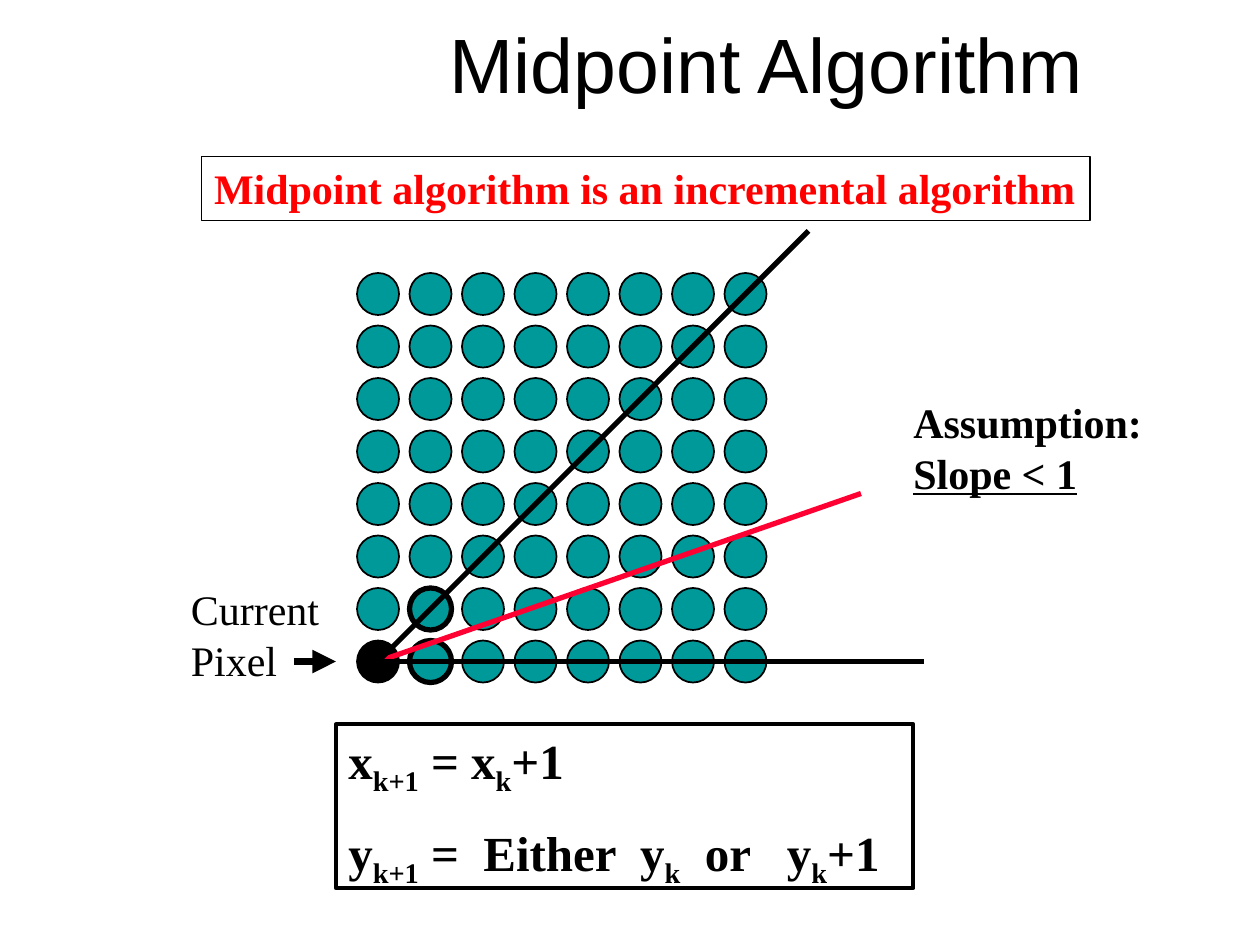
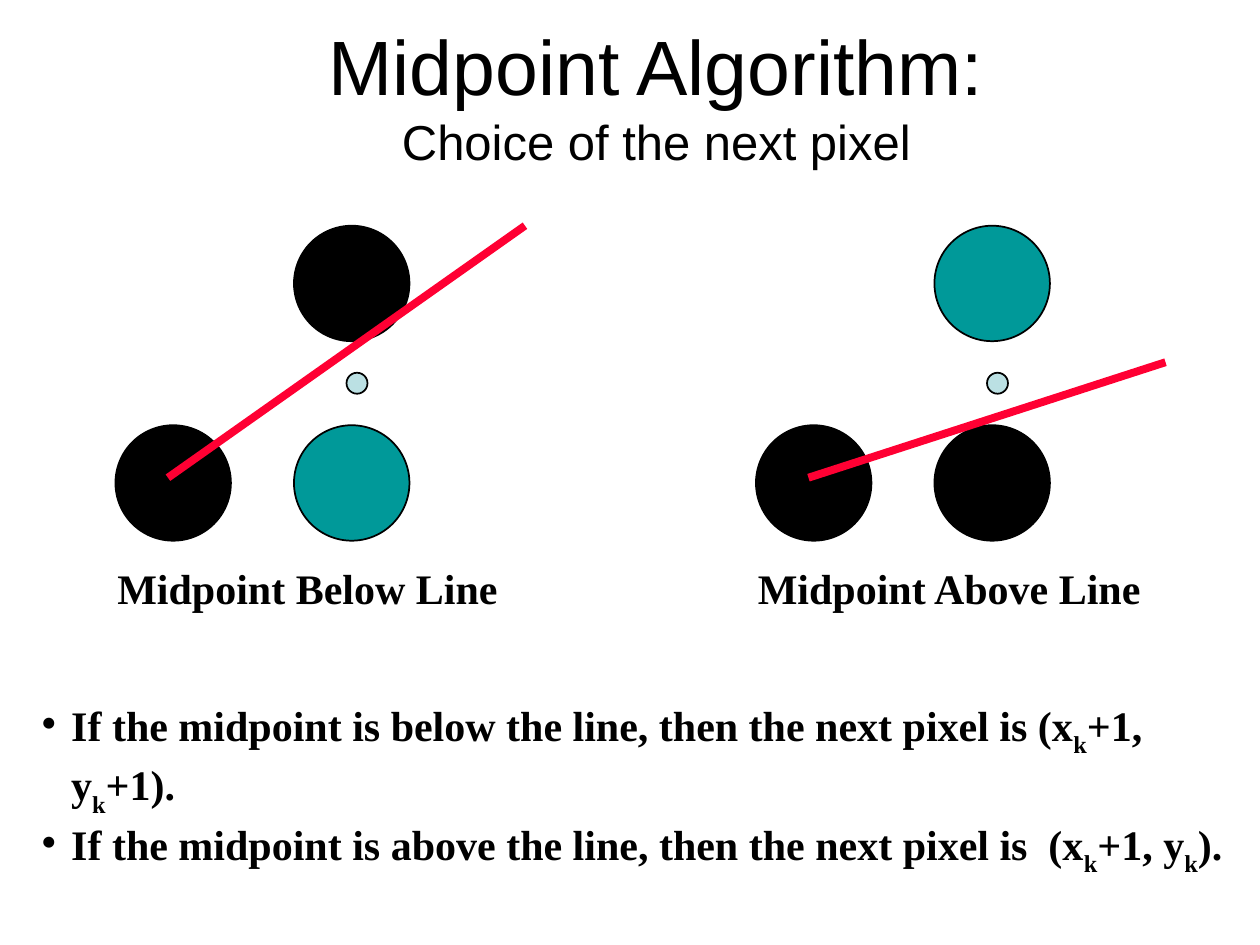
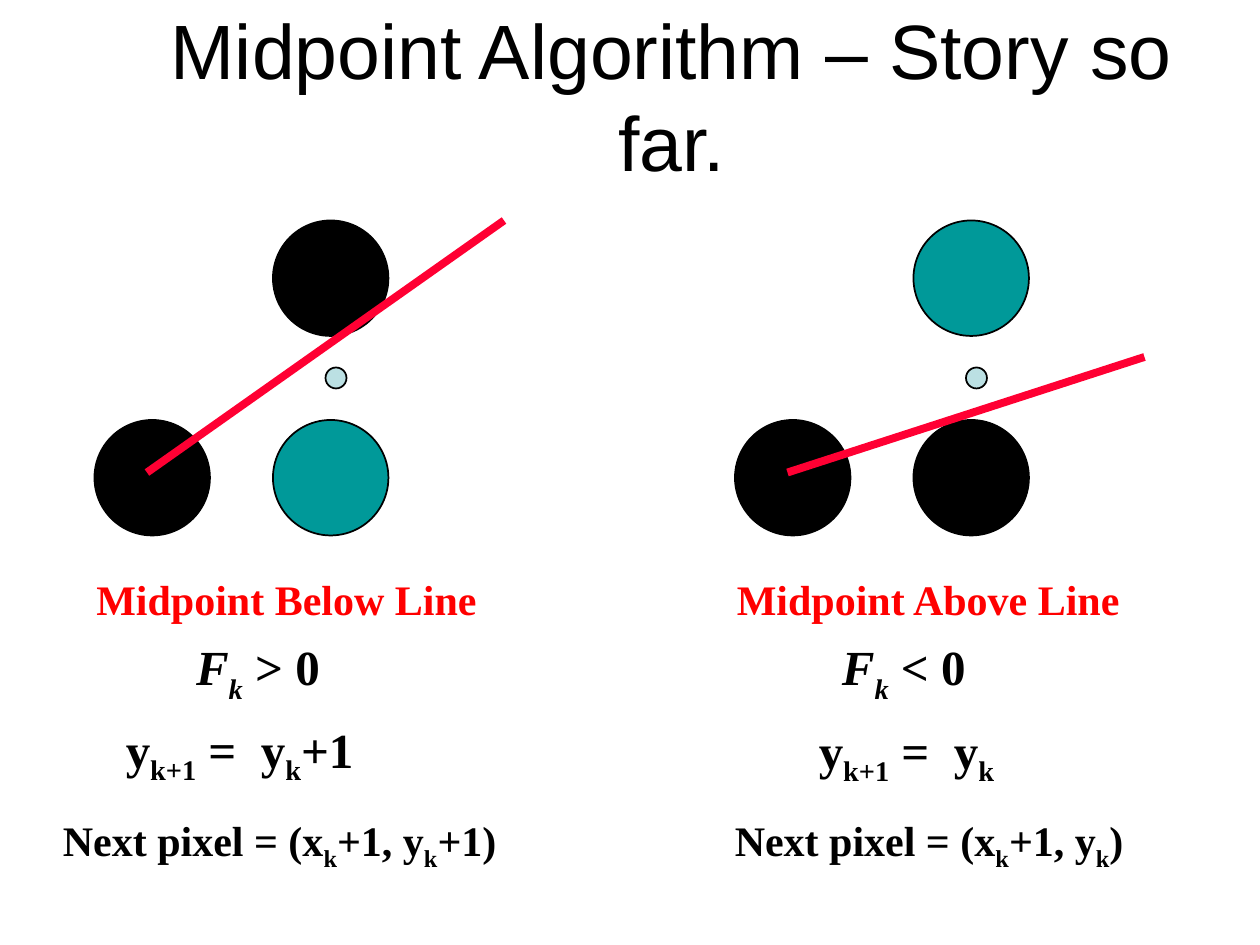
from dataclasses import dataclass

from lxml import etree
from pptx import Presentation
from pptx import util as u
from pptx.dml.color import RGBColor
from pptx.enum import shapes, text
from pptx.oxml.ns import qn

PX = 7620  # EMU per px, 120 px to the inch


@dataclass(frozen=True)
class Theme:
    black: str = "000000"
    pixel: str = "009999"
    midpoint: str = "BBE0E3"
    line: str = "FF0033"
    accent: str = "FF0000"
    title_font: str = "Arial"
    body_font: str = "Times New Roman"
    title_size: int = 44
    formula_size: int = 28
    body_size: int = 24


THEME = Theme()
FORMULA = {"size": THEME.formula_size, "bold": True}
BOLD = {"bold": True}
RED = {"bold": True, "color": THEME.accent}

# Text between bars is subscript.
TITLES = [
    ([("Midpoint Algorithm", THEME.title_size)], (310, -20, 840, 160)),
    ([("Midpoint Algorithm:", THEME.title_size),
      ("Choice of the next pixel", THEME.formula_size)], (130, 30, 990, 120)),
    ([("Midpoint Algorithm – Story so far.", THEME.title_size)], (140, 10, 1000, 160)),
]
STEP_RULES = ["x|k+1| = x|k|+1", "y|k+1| =  Either  y|k|  or   y|k|+1"]
CHOICES = [
    "If the midpoint is below the line, then the next pixel is (x|k|+1, y|k|+1).",
    "If the midpoint is above the line, then the next pixel is  (x|k|+1, y|k|).",
]

# Each case: label, label width, upper colour, lower colour, line rise
CASES = [
    ("Midpoint Below Line", 386, THEME.black, THEME.pixel, 240),
    ("Midpoint Above Line", 391, THEME.pixel, THEME.black, 110),
]
CASE_PITCH = 610

# Results under each case: text, box, format
RESULTS = [
    ("F|k| > 0", (175, 600, 144, 68), {**FORMULA, "italics": 2, "drop": 30}),
    ("y|k+1| =  y|k|+1", (108, 679, 252, 68), {**FORMULA, "spaced": True}),
    ("Next pixel = (x|k|+1, y|k|+1)", (48, 770, 440, 60), BOLD),
    ("F|k| < 0", (790, 600, 144, 68), {**FORMULA, "italics": 2, "drop": 30}),
    ("y|k+1| =  y|k|", (768, 680, 202, 68), {**FORMULA, "spaced": True}),
    ("Next pixel = (x|k|+1, y|k|)", (688, 770, 398, 60), BOLD),
]

GRID_LEFT, GRID_TOP, GRID_PITCH, GRID_COUNT, GRID_DOT = 340, 260, 50, 8, 40
CURRENT_PIXEL = (0, 7)
CANDIDATES = [(1, 6), (1, 7)]
ORIGIN = (360, 630)
GRID_LINES = [((820, 470), THEME.line), ((770, 220), THEME.black), ((880, 630), THEME.black)]


def emu(lengths):
    return [length * PX for length in lengths]


def rgb(color):
    return RGBColor.from_string(color)


def format_font(font, name, size, color, **values):
    font.color.rgb = rgb(color)
    for key, value in {"name": name, "size": u.Pt(size), **values}.items():
        setattr(font, key, value)


def add_page(deck, lines, place):
    page = deck.slides.add_slide(deck.slide_layouts[5])
    title = page.shapes.title
    for key, value in zip(("left", "top", "width", "height"), emu(place)):
        setattr(title, key, value)
    frame = title.text_frame
    frame.auto_size = text.MSO_AUTO_SIZE.NONE
    frame.vertical_anchor = text.MSO_ANCHOR.MIDDLE
    para = frame.paragraphs[0]
    para.alignment = text.PP_ALIGN.CENTER
    for number, (wording, size) in enumerate(lines):
        if number:
            para.add_line_break()
        span = para.add_run()
        span.text = wording
        format_font(span.font, THEME.title_font, size, THEME.black)
    return page


def fill_para(para, wording, size, color, drop, italics, **values):
    """Write spans, lowering every second one by drop percent."""
    for number, part in enumerate(wording.split("|")):
        span = para.add_run()
        span.text = part
        format_font(span.font, THEME.body_font, size, color,
                    italic=number < italics, **values)
        if number % 2:
            span._r.get_or_add_rPr().set("baseline", str(-1000 * drop))


def add_text(page, lines, place, size=THEME.body_size, color=THEME.black, bold=False,
             drop=25, italics=0, spaced=False, bullets=False, outline=0, underlined=()):
    box = page.shapes.add_textbox(*emu(place))
    if outline:
        box.line.color.rgb = rgb(THEME.black)
        box.line.width = u.Pt(outline)
    frame = box.text_frame
    frame.word_wrap = bullets
    frame.auto_size = text.MSO_AUTO_SIZE.SHAPE_TO_FIT_TEXT
    for number, wording in enumerate(lines):
        para = frame.add_paragraph() if number else frame.paragraphs[0]
        fill_para(para, wording, size, color, drop, italics,
                  bold=bold, underline=number in underlined)
        props = para._p.get_or_add_pPr()
        if spaced:
            before = etree.SubElement(props, qn("a:spcBef"))
            etree.SubElement(before, qn("a:spcPct"), val="50000")
        if bullets:
            props.set("marL", str(28 * PX))
            props.set("indent", str(-28 * PX))
            etree.SubElement(props, qn("a:buChar"), char="•")


def add_dot(page, left, top, size, color, weight=1):
    dot = page.shapes.add_shape(shapes.MSO_SHAPE.OVAL, *emu((left, top, size, size)))
    dot.shadow.inherit = False
    dot.fill.solid()
    dot.fill.fore_color.rgb = rgb(color)
    dot.line.color.rgb = rgb(THEME.black)
    dot.line.width = u.Pt(weight)


def add_line(page, start, end, color, weight, arrow=False):
    line = page.shapes.add_connector(shapes.MSO_CONNECTOR.STRAIGHT, *emu(start + end))
    line.line.color.rgb = rgb(color)
    line.line.width = u.Pt(weight)
    if arrow:
        etree.SubElement(line.line._get_or_add_ln(), qn("a:tailEnd"), type="triangle")
    etree.SubElement(line._element.spPr, qn("a:effectLst"))


def add_pixel_grid(page):
    for row in range(GRID_COUNT):
        for column in range(GRID_COUNT):
            cell = (column, row)
            add_dot(page, GRID_LEFT + column * GRID_PITCH, GRID_TOP + row * GRID_PITCH,
                    GRID_DOT, THEME.black if cell == CURRENT_PIXEL else THEME.pixel,
                    3 if cell in CANDIDATES else 1)
    for end, color in GRID_LINES:
        add_line(page, ORIGIN, end, color, 3)


def add_cases(page, left, top, label_top, label_format):
    """Draw the two midpoint cases side by side with their labels."""
    for number, (label, width, upper, lower, rise) in enumerate(CASES):
        x = left + number * CASE_PITCH
        for dx, dy, color in [(0, 190, THEME.black), (170, 190, lower), (170, 0, upper)]:
            add_dot(page, x + dx, top + dy, 110, color)
        start = (x + 50, top + 240)
        add_line(page, start, (x + 390, start[1] - rise), THEME.line, 4.5)
        add_dot(page, x + 220, top + 140, 20, THEME.midpoint)
        add_text(page, [label], (x - 10, label_top, width, 60), **label_format)


def main():
    deck = Presentation()
    deck.slide_width, deck.slide_height = emu((1200, 900))
    steps, choice, story = [add_page(deck, *title) for title in TITLES]

    add_text(steps, STEP_RULES, (320, 690, 550, 156), spaced=True, outline=2.25, **FORMULA)
    add_text(steps, ["Midpoint algorithm is an incremental algorithm"],
             (192, 149, 846, 61), outline=1, **RED)
    add_pixel_grid(steps)
    add_text(steps, ["Assumption:", "Slope < 1"], (858, 372, 242, 108),
             underlined=[1], **BOLD)
    add_text(steps, ["Current", "Pixel"], (170, 550, 146, 108))
    add_line(steps, (280, 630), (320, 630), THEME.black, 4.5, arrow=True)

    add_cases(choice, 110, 215, 530, BOLD)
    add_text(choice, CHOICES, (28, 660, 1171, 108), drop=30, bullets=True, **BOLD)

    add_cases(story, 90, 210, 540, RED)
    for wording, place, style in RESULTS:
        add_text(story, [wording], place, **style)

    deck.save("out.pptx")


if __name__ == "__main__":
    main()
